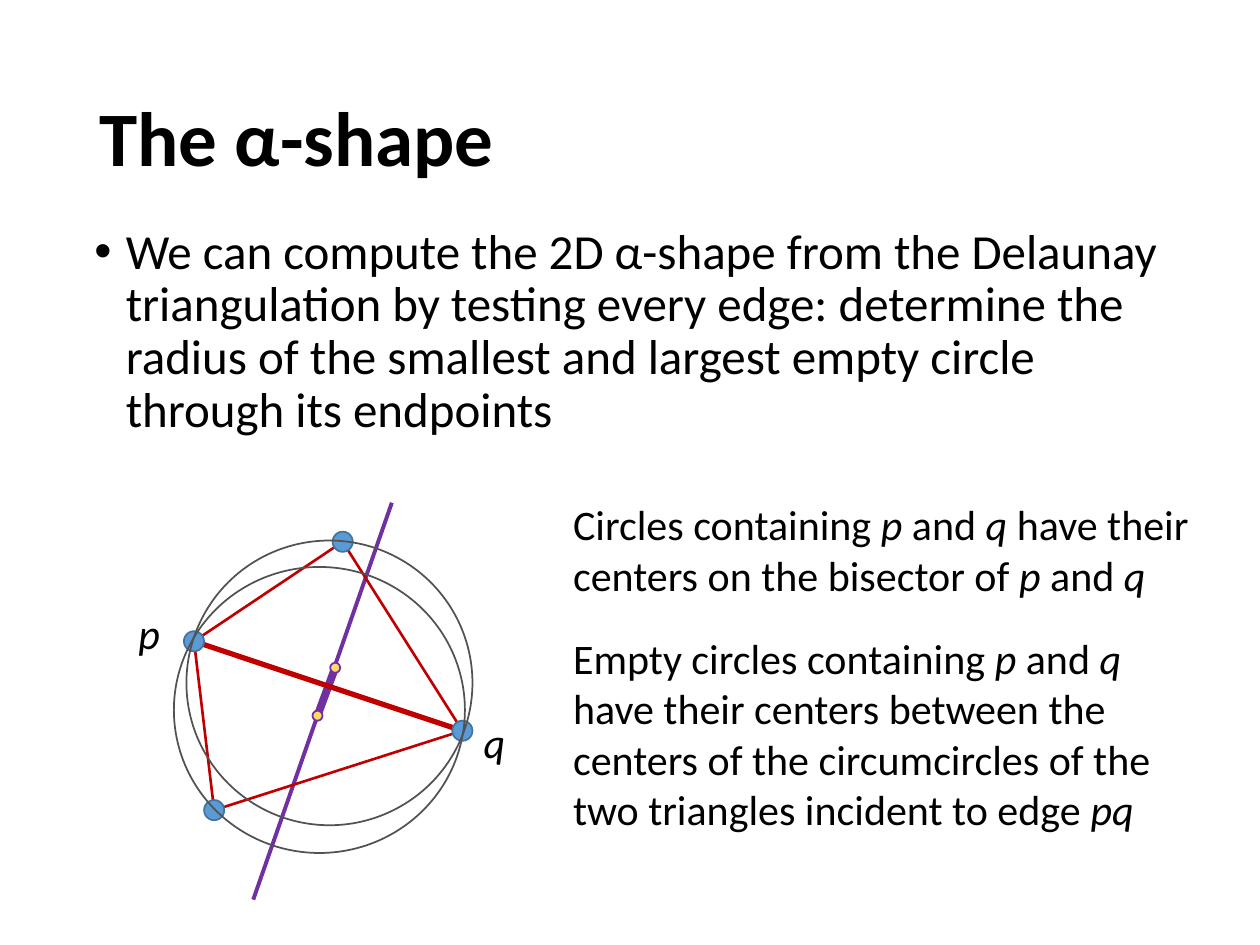
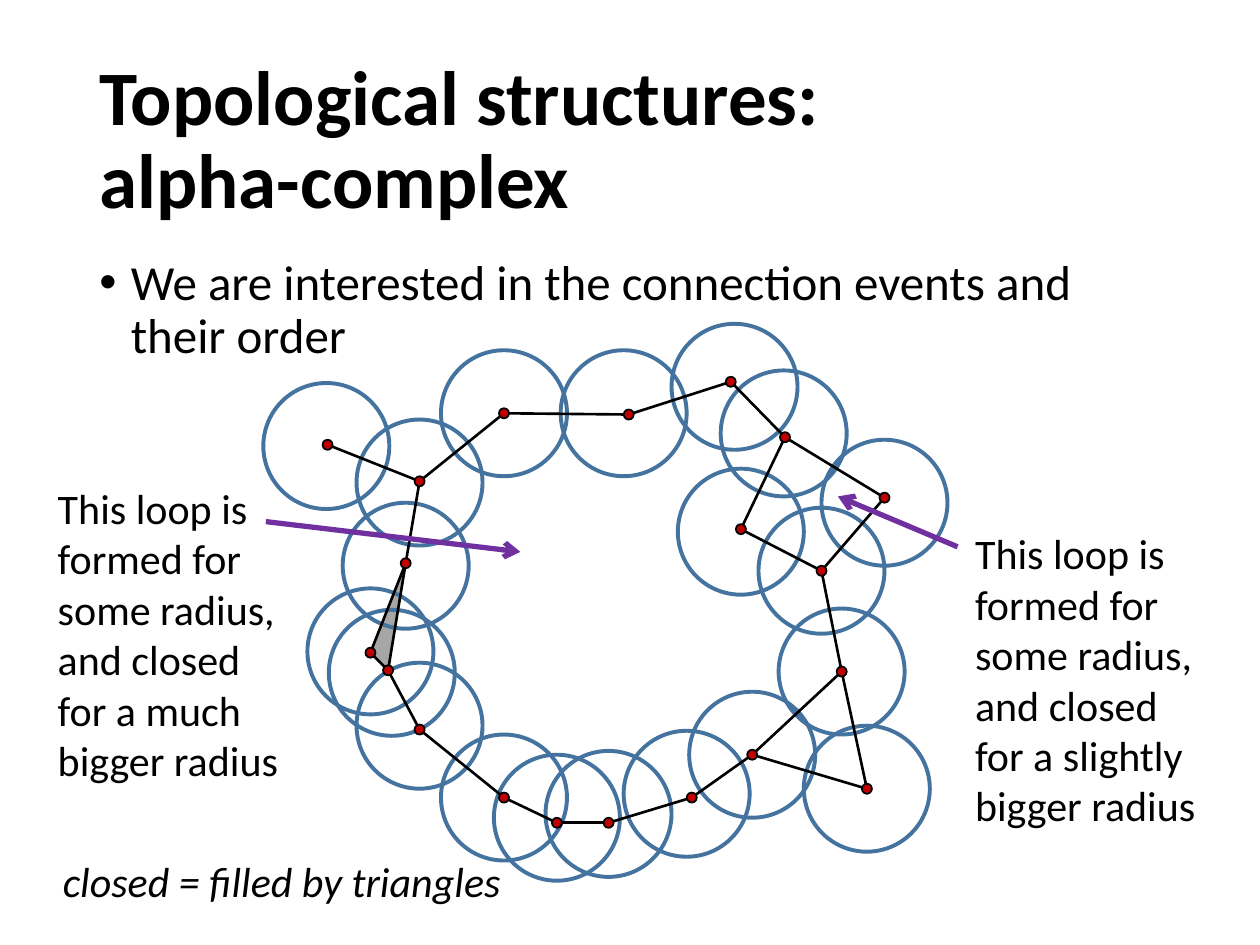
"""Build two slides on the alpha-shape and the alpha-complex."""
import dataclasses
import itertools

import pptx
import pptx.dml.color
import pptx.enum.shapes
import pptx.enum.text
import pptx.oxml.ns
import pptx.util
from lxml import etree
from pptx.util import Inches


@dataclasses.dataclass(frozen=True)
class Theme:
    font: str = "Calibri"
    title_size: int = 44
    body_size: int = 28
    note_size: int = 24
    text: str = "000000"
    red: str = "C00000"
    purple: str = "7030A0"
    blue: str = "5B9BD5"
    dark_blue: str = "43739E"
    yellow: str = "FFD966"
    gray: str = "A6A6A6"
    dark_gray: str = "525252"


THEME = Theme()


def rgb(color):
    return pptx.dml.color.RGBColor.from_string(color)


def add_element(parent, tag, **attrs):
    return etree.SubElement(parent, pptx.oxml.ns.qn(tag), attrs)


def write_text(tf, text, size=THEME.note_size, bold=False, italic=False, spacing=None, before=None, bullet=None):
    p = tf.paragraphs[0]
    if spacing:
        p.line_spacing = spacing
    if before:
        p.space_before = pptx.util.Pt(before)
    if bullet:
        pPr = p._p.get_or_add_pPr()
        pPr.set("marL", str(Inches(0.25)))
        pPr.set("indent", str(-Inches(0.25)))
        add_element(pPr, "a:buFont", typeface="Arial")
        add_element(pPr, "a:buChar", char=bullet)
    for n, line in enumerate(text.split("\n")):
        if n:
            p.add_line_break()
        for k, part in enumerate(line.split("*")):
            if not part:
                continue
            r = p.add_run()
            r.text = part
            r.font.name = THEME.font
            r.font.size = pptx.util.Pt(size)
            r.font.bold = bold
            r.font.italic = italic or k % 2 == 1
            r.font.color.rgb = rgb(THEME.text)


class Deck:
    def __init__(self, theme):
        self.theme = theme
        self.prs = pptx.Presentation()
        self.prs.slide_width = Inches(10)
        self.prs.slide_height = Inches(7.5)
        self.s = None

    def new_slide(self, title):
        self.s = self.prs.slides.add_slide(self.prs.slide_layouts[6])
        sp = self.text(title, 0.69, 0.4, 8.62, 1.45, size=self.theme.title_size, bold=True, spacing=0.9)
        sp.text_frame.vertical_anchor = pptx.enum.text.MSO_ANCHOR.MIDDLE

    def text(self, text, x, y, w, h, wrap=True, **fmt):
        sp = self.s.shapes.add_textbox(Inches(x), Inches(y), Inches(w), Inches(h))
        sp.text_frame.word_wrap = wrap
        write_text(sp.text_frame, text, **fmt)
        return sp

    def body(self, text, x, y, w, h):
        self.text(text, x, y, w, h, size=self.theme.body_size, spacing=0.9, before=10, bullet="•")

    def paint(self, sp, fill, line, width):
        sp.shadow.inherit = False
        if fill:
            sp.fill.solid()
            sp.fill.fore_color.rgb = rgb(fill)
        else:
            sp.fill.background()
        sp.line.color.rgb = rgb(line)
        sp.line.width = pptx.util.Pt(width)

    def ellipse(self, center, w, h, line, fill=None, width=1):
        x, y = center
        sp = self.s.shapes.add_shape(pptx.enum.shapes.MSO_SHAPE.OVAL, Inches(x - w / 2), Inches(y - h / 2),
                                     Inches(w), Inches(h))
        self.paint(sp, fill, line, width)

    def polygon(self, points, line, fill=None, width=1):
        first, *rest = [(Inches(x), Inches(y)) for x, y in points]
        builder = self.s.shapes.build_freeform(*first, scale=1.0)
        builder.add_line_segments(rest, close=True)
        self.paint(builder.convert_to_shape(), fill, line, width)

    def line(self, start, end, color, width, arrow=False):
        sp = self.s.shapes.add_connector(pptx.enum.shapes.MSO_CONNECTOR.STRAIGHT,
                                         *(Inches(v) for v in (*start, *end)))
        sp.line.color.rgb = rgb(color)
        sp.line.width = pptx.util.Pt(width)
        spPr = sp._element.spPr
        if arrow:
            add_element(spPr.find(pptx.oxml.ns.qn("a:ln")), "a:tailEnd", type="arrow")
        add_element(spPr, "a:effectLst")


def alpha_shape_slide(deck):
    t = deck.theme
    p, top, q, bottom = (1.54, 5.09), (2.72, 4.3), (3.67, 5.8), (1.7, 6.43)
    upper_center, lower_center = (2.66, 5.3), (2.52, 5.68)

    deck.new_slide("The α-shape")
    deck.line(upper_center, lower_center, t.purple, 4.5)
    deck.line((3.11, 3.99), (2.01, 7.14), t.purple, 2.25)
    deck.body("We can compute the 2D α-shape from the Delaunay triangulation by testing every edge: "
              "determine the radius of the smallest and largest empty circle through its endpoints",
              0.65, 1.75, 9, 2.31)
    deck.line(p, q, t.red, 3)
    deck.polygon([p, top, q, bottom], t.red, width=1.5)
    for site in (top, p, q, bottom):
        deck.ellipse(site, 0.16, 0.16, t.dark_blue, t.blue)
    deck.ellipse((2.535, 5.635), 2.31, 2.27, t.dark_gray)
    deck.ellipse((2.615, 5.42), 2.27, 2.26, t.dark_gray)
    for name, x, y in (("p", 1, 4.77), ("q", 3.74, 5.64)):
        deck.text(name, x, y, 0.38, 0.5, wrap=False, italic=True)
    deck.text("Circles containing *p* and *q* have their centers on the bisector of *p* and *q*",
              4.45, 3.91, 5.2, 0.91)
    deck.text("Empty circles containing *p* and *q* have their centers between the centers of the "
              "circumcircles of the two triangles incident to edge *pq*", 4.45, 4.97, 5.2, 1.72)
    for center in (upper_center, lower_center):
        deck.ellipse(center, 0.08, 0.08, t.purple, t.yellow)


def alpha_complex_slide(deck):
    t = deck.theme
    dots = dict(
        a=(2.6, 3.53), b=(3.33, 3.82), c=(4, 3.28), d=(4.99, 3.29), e=(5.8, 3.03),
        f=(6.23, 3.47), g=(7.02, 3.95), h=(6.52, 4.53), i=(5.88, 4.2), j=(6.68, 5.33),
        k=(6.88, 6.26), l=(5.97, 5.99), m=(5.49, 6.33), n=(4.83, 6.53), o=(4.42, 6.53),
        p=(4, 6.33), q=(3.33, 5.79), r=(3.08, 5.32), s=(2.94, 5.18), t=(3.22, 4.47))
    moved_discs = dict(
        a=(2.59, 3.54), b=(3.33, 3.83), d=(4.95, 3.28), e=(5.83, 3.07), f=(6.22, 3.44),
        g=(7.02, 3.99), i=(5.88, 4.22), m=(5.45, 6.3), n=(4.83, 6.46), o=(4.42, 6.49),
        q=(3.33, 5.76), r=(3.11, 5.34), s=(2.94, 5.17), t=(3.22, 4.49))
    chains = ("abcdefghjklmnopqrstb", "fih", "jl", "rt")

    deck.new_slide("Topological structures: \nalpha-complex")
    deck.body("We are interested in the connection events and their order", 0.69, 2, 8.72, 1.31)
    deck.polygon([dots[name] for name in "tsr"], t.gray, t.gray)
    for center in (dots | moved_discs).values():
        deck.ellipse(center, 1, 1, t.dark_blue, width=2.25)
    for chain in chains:
        for start, end in itertools.pairwise(chain):
            deck.line(dots[start], dots[end], t.text, 1.5)
    for center in dots.values():
        deck.ellipse(center, 0.08, 0.08, t.text, t.red)

    loops = (("slightly", 7.64, 4.14, (7.6, 4.34), (6.65, 3.94)),
             ("much", 0.36, 3.78, (2.11, 4.14), (4.13, 4.38)))
    for degree, x, y, start, end in loops:
        deck.line(start, end, t.purple, 3, arrow=True)
        deck.text(f"This loop is formed for some radius, and closed for a {degree} bigger radius",
                  x, y, 2.09, 2.52)
    deck.text("closed = filled by triangles", 0.4, 6.74, 3.73, 0.5, wrap=False, italic=True)


def main():
    deck = Deck(THEME)
    alpha_shape_slide(deck)
    alpha_complex_slide(deck)
    deck.prs.save("out.pptx")


if __name__ == "__main__":
    main()
